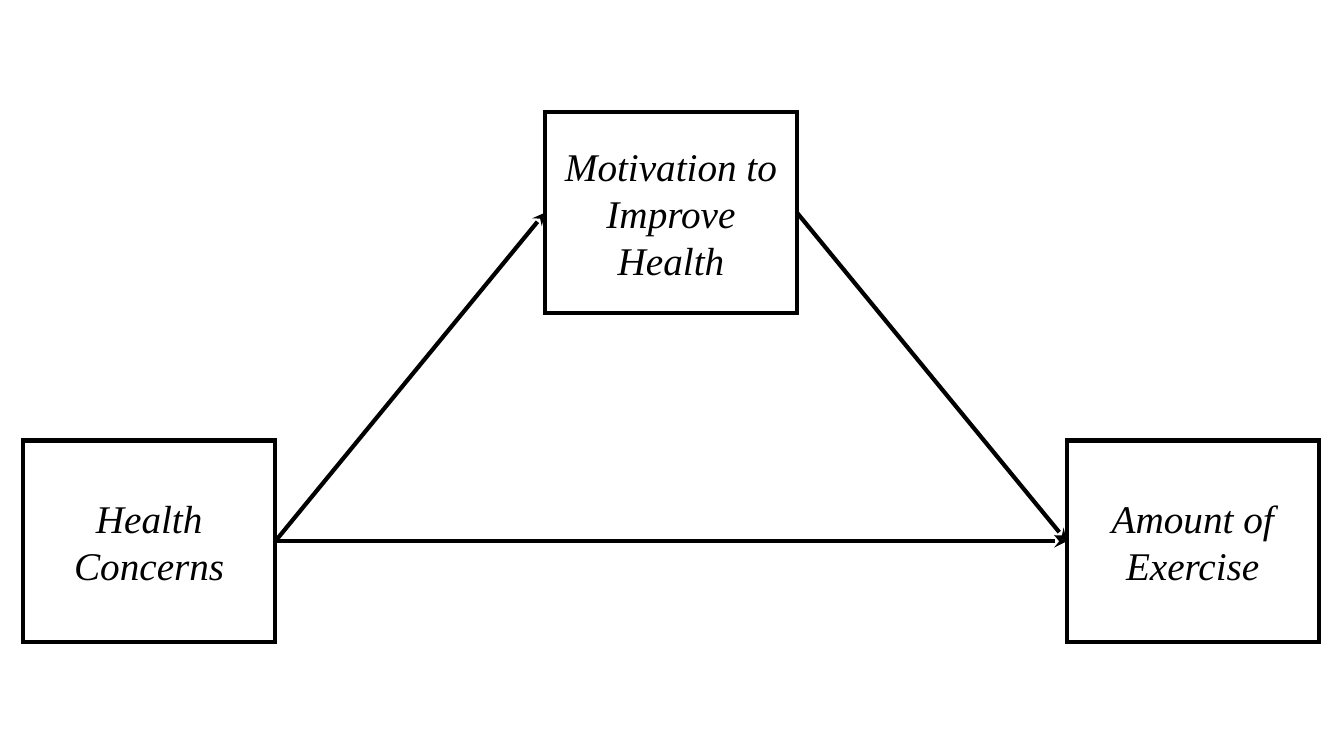
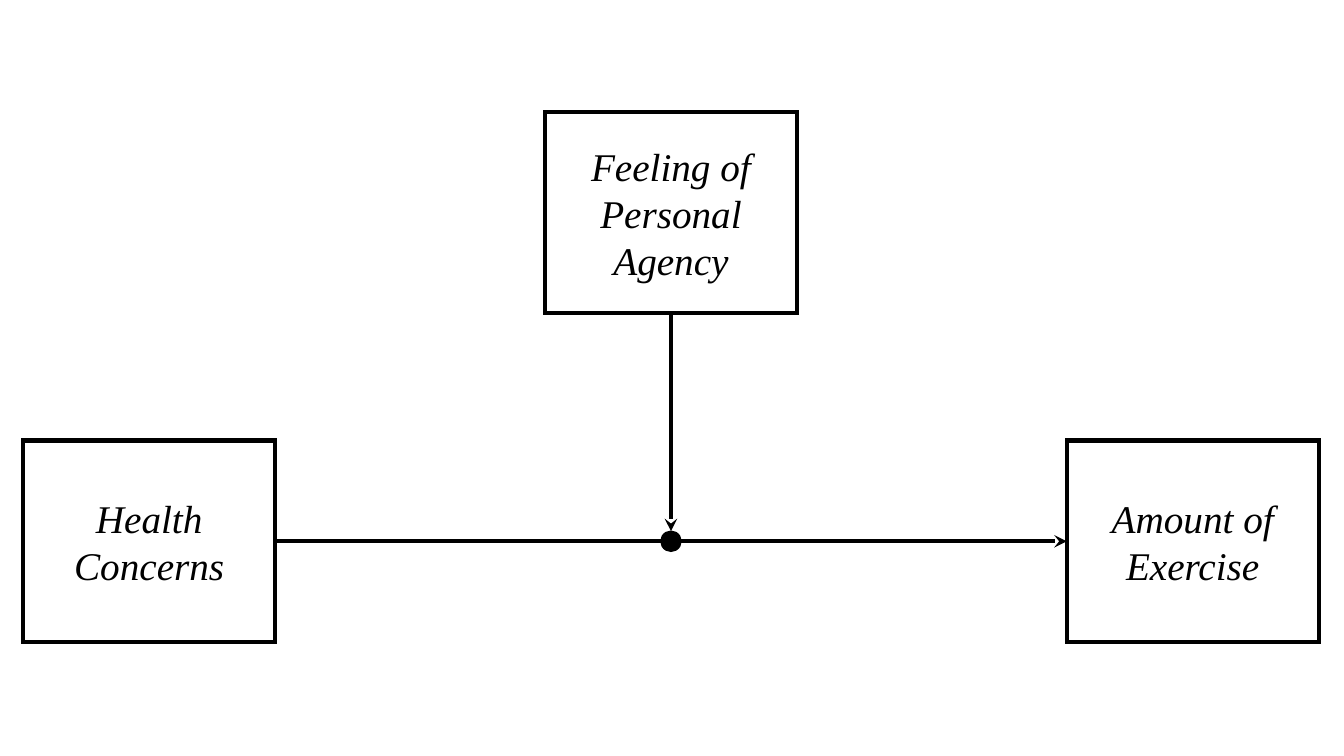
from pptx import Presentation
from pptx.dml.color import RGBColor
from pptx.enum.shapes import MSO_CONNECTOR as Connector, MSO_SHAPE as Shape
from pptx.enum.text import MSO_ANCHOR as Anchor, PP_ALIGN as Align
from pptx.oxml.ns import qn
from pptx.util import Inches, Pt
from lxml.etree import SubElement

SLIDE_WIDTH, SLIDE_HEIGHT = 13.33, 7.5
INK, PAPER = "000000", "FFFFFF"
FONT, TEXT_SIZE, LINE_WIDTH = "Times New Roman", 28, 3

# Three columns and two rows of equal boxes
BOX_WIDTH, BOX_HEIGHT = 2.5, 2
GRID_LEFT, GRID_TOP = 0.23, 1.11
COLUMN_STEP = (10.58 - GRID_LEFT) / 2
ROW_STEP = 3.26
DOT_SIZE = 0.2

# Connection sites, counterclockwise from the top
TOP, LEFT, BOTTOM, RIGHT = range(4)


def color(value):
    return RGBColor.from_string(value)


def box_center(column, row):
    return (GRID_LEFT + column * COLUMN_STEP + BOX_WIDTH / 2,
            GRID_TOP + row * ROW_STEP + BOX_HEIGHT / 2)


def add_centered_shape(slide, kind, center, width, height, fill, line_width):
    x, y = center
    shape = slide.shapes.add_shape(kind, Inches(x - width / 2), Inches(y - height / 2),
                                   Inches(width), Inches(height))
    shape.shadow.inherit = False
    shape.fill.solid()
    shape.fill.fore_color.rgb = color(fill)
    shape.line.color.rgb = color(INK)
    shape.line.width = Pt(line_width)
    return shape


def add_box(slide, column, row, text):
    """Add a framed variable name in a grid cell."""
    box = add_centered_shape(slide, Shape.RECTANGLE, box_center(column, row),
                             BOX_WIDTH, BOX_HEIGHT, PAPER, LINE_WIDTH)
    SubElement(box.line._get_or_add_ln(), qn("a:miter"), lim="800000")
    frame = box.text_frame
    frame.text = text
    frame.word_wrap = True
    frame.vertical_anchor = Anchor.MIDDLE
    paragraph = frame.paragraphs[0]
    paragraph.alignment = Align.CENTER
    font = paragraph.runs[0].font
    font.name, font.size, font.italic = FONT, Pt(TEXT_SIZE), True
    font.color.rgb = color(INK)
    return box


def add_dot(slide, center):
    return add_centered_shape(slide, Shape.OVAL, center, DOT_SIZE, DOT_SIZE, INK, 1)


def add_arrow(slide, source, source_site, target, target_site):
    """Join two shapes with a straight arrow attached to their sites."""
    arrow = slide.shapes.add_connector(Connector.STRAIGHT, 0, 0, 0, 0)
    arrow.begin_connect(source, source_site)
    arrow.end_connect(target, target_site)
    arrow.line.color.rgb = color(INK)
    arrow.line.width = Pt(LINE_WIDTH)
    SubElement(arrow.line._get_or_add_ln(), qn("a:tailEnd"), type="stealth")
    SubElement(arrow._element.spPr, qn("a:effectLst"))


def add_model(presentation, third_variable):
    """Add a slide with the cause, the outcome, their path and a third variable."""
    slide = presentation.slides.add_slide(presentation.slide_layouts[6])
    cause = add_box(slide, 0, 1, "Health Concerns")
    outcome = add_box(slide, 2, 1, "Amount of Exercise")
    add_arrow(slide, cause, RIGHT, outcome, LEFT)
    third = add_box(slide, 1, 0, third_variable)
    return slide, cause, outcome, third


def add_mediation(presentation):
    slide, cause, outcome, mediator = add_model(presentation, "Motivation to Improve Health")
    add_arrow(slide, mediator, RIGHT, outcome, LEFT)
    add_arrow(slide, cause, RIGHT, mediator, LEFT)


def add_moderation(presentation):
    slide, _, _, moderator = add_model(presentation, "Feeling of Personal Agency")
    dot = add_dot(slide, box_center(1, 1))
    add_arrow(slide, moderator, BOTTOM, dot, TOP)


def main():
    presentation = Presentation()
    presentation.slide_width = Inches(SLIDE_WIDTH)
    presentation.slide_height = Inches(SLIDE_HEIGHT)
    add_mediation(presentation)
    add_moderation(presentation)
    presentation.save("out.pptx")


if __name__ == "__main__":
    main()
